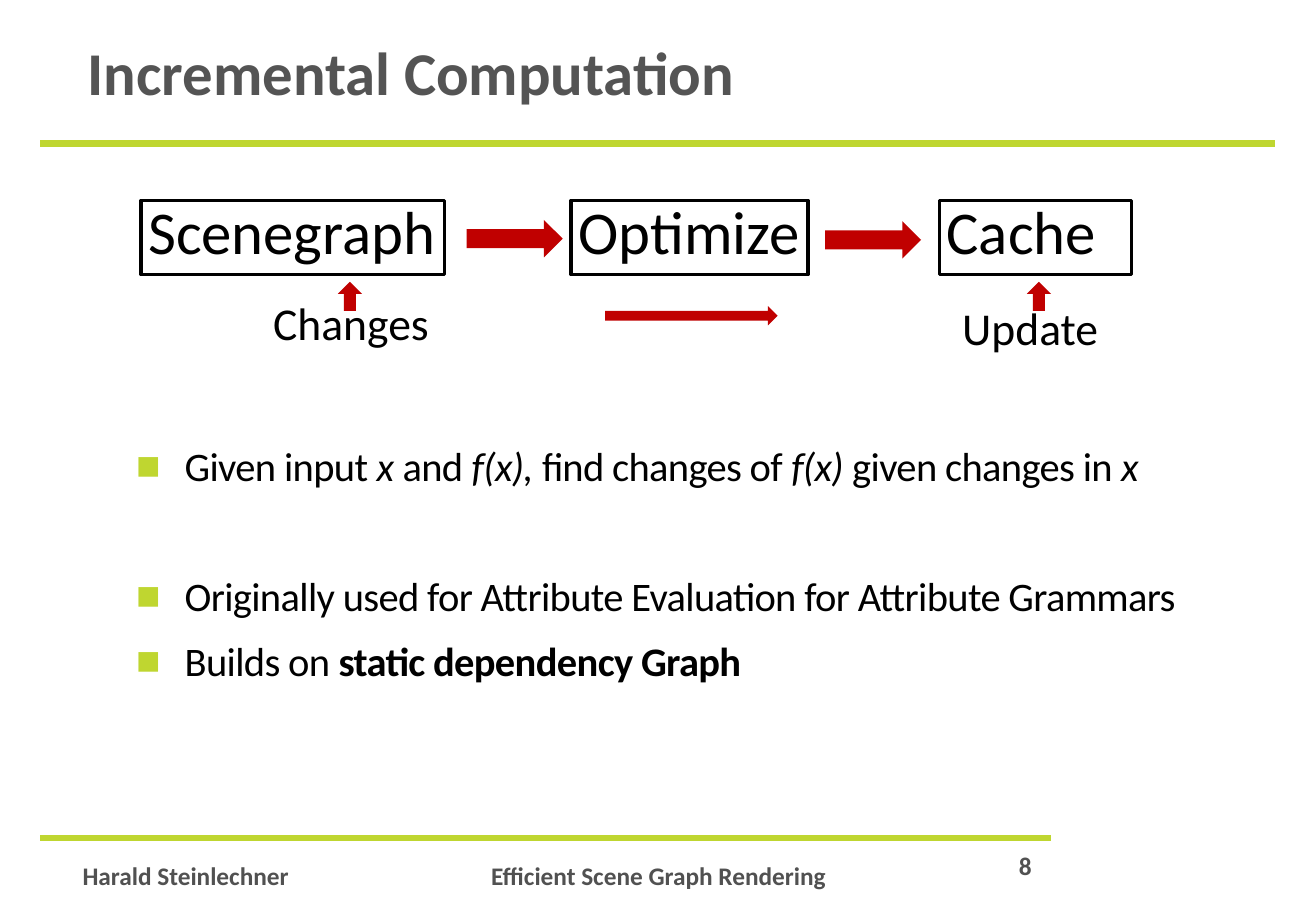
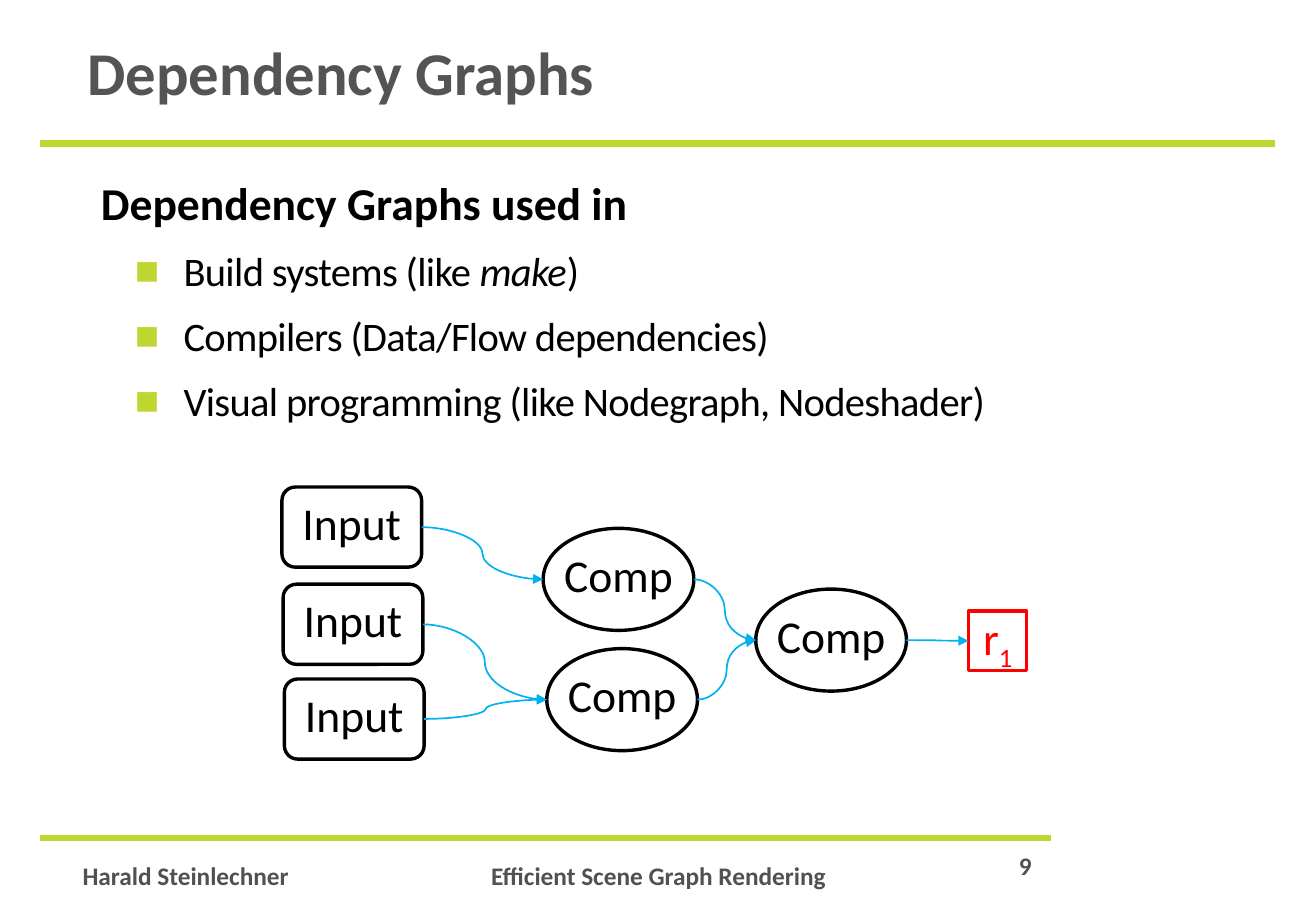
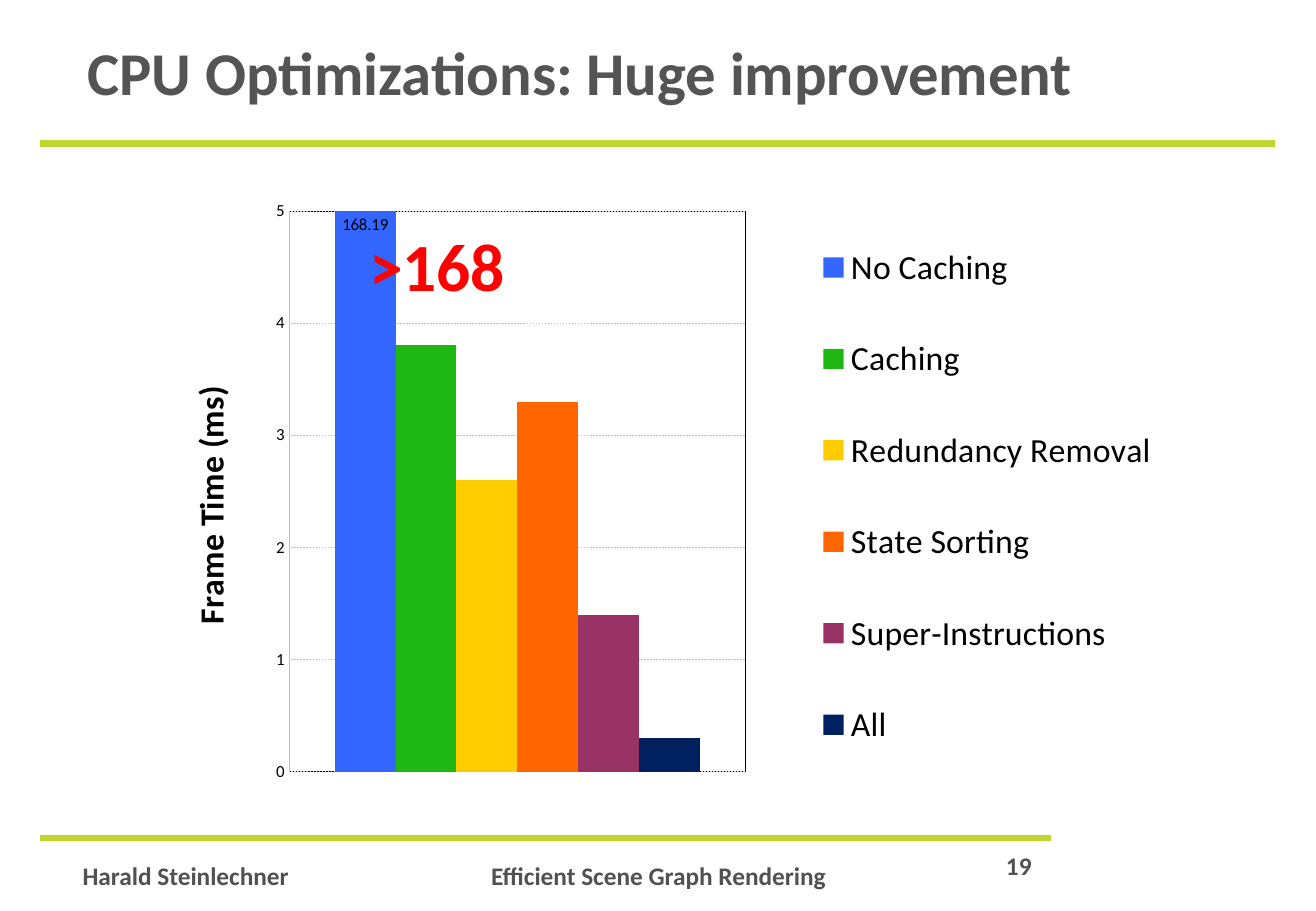
from dataclasses import dataclass

from lxml import etree
from pptx import Presentation
from pptx.chart.data import CategoryChartData
from pptx.dml.color import RGBColor
from pptx.enum.chart import XL_CHART_TYPE as ChartType
from pptx.enum.chart import XL_LABEL_POSITION as LabelPosition
from pptx.enum.chart import XL_LEGEND_POSITION as LegendPosition
from pptx.enum.chart import XL_TICK_MARK as TickMark
from pptx.enum.dml import MSO_LINE as Dash
from pptx.enum.shapes import MSO_CONNECTOR as Connector
from pptx.enum.shapes import MSO_SHAPE as Shape
from pptx.enum.text import MSO_ANCHOR as Anchor
from pptx.enum.text import MSO_AUTO_SIZE as AutoSize
from pptx.enum.text import PP_ALIGN as Align
from pptx.oxml import parse_xml
from pptx.oxml.ns import nsdecls, qn
from pptx.util import Inches, Pt


@dataclass(frozen=True)
class Theme:
    font: str = "Calibri"
    text: str = "000000"
    title: str = "545454"
    footer: str = "515151"
    accent: str = "BFD630"
    paper: str = "FFFFFF"
    arrow: str = "C00000"
    link: str = "00B0F0"
    result: str = "FF0000"
    grid: str = "BFBFBF"
    bars: tuple = ("3366FF", "1FB714", "FFCC00", "FF6600", "993366", "002060")
    title_size: int = 36
    box_size: int = 36
    label_size: int = 27
    list_size: int = 24
    footer_size: int = 15
    legend_size: int = 20
    axis_size: int = 10
    callout_size: int = 40
    tight: float = 0.8


THEME = Theme()
TITLE_AND_BODY, TITLE_ONLY = 1, 5


# Text
def color(value):
    return RGBColor.from_string(value)


def format_font(font, size, fill=THEME.text, bold=False, italic=False):
    font.name = THEME.font
    font.size = Pt(size)
    font.bold = bold
    font.italic = italic
    font.color.rgb = color(fill)


def add_span(para, text, size, spacing=None, baseline=None, **style):
    span = para.add_run()
    span.text = text
    format_font(span.font, size, **style)
    properties = span._r.get_or_add_rPr()
    if spacing is not None:
        properties.set("spc", str(round(spacing * 100)))
    if baseline is not None:
        properties.set("baseline", str(baseline * 1000))


def set_frame(frame, margins=(0.1, 0.05), anchor=Anchor.TOP, wrap=True):
    frame.auto_size = AutoSize.NONE
    frame.word_wrap = wrap
    frame.vertical_anchor = anchor
    frame.margin_left = frame.margin_right = Inches(margins[0])
    frame.margin_top = frame.margin_bottom = Inches(margins[1])


def write_line(frame, text, size, align=Align.LEFT, line_spacing=THEME.tight, **style):
    para = frame.paragraphs[0]
    para.alignment = align
    para.line_spacing = line_spacing
    add_span(para, text, size, **style)
    return para


def add_label(page, at, text, size, margins=(0.1, 0.05), wrap=False, **style):
    box = page.shapes.add_textbox(*map(Inches, at))
    set_frame(box.text_frame, margins, wrap=wrap)
    write_line(box.text_frame, text, size, **style)
    return box


# Shapes and lines
def add_line(page, start, end, line_color, width, kind=Connector.STRAIGHT, arrow=False):
    line = page.shapes.add_connector(kind, *map(Inches, (*start, *end)))
    line.line.color.rgb = color(line_color)
    line.line.width = Pt(width)
    if arrow:
        tail = etree.SubElement(line.line._get_or_add_ln(), qn("a:tailEnd"))
        tail.set("type", "triangle")
    etree.SubElement(line.element.spPr, qn("a:effectLst"))
    return line


def add_arrow(page, kind, at):
    arrow = page.shapes.add_shape(kind, *map(Inches, at))
    arrow.shadow.inherit = False
    arrow.fill.solid()
    arrow.fill.fore_color.rgb = color(THEME.arrow)
    arrow.line.fill.background()


def outline(box, line_color):
    box.line.color.rgb = color(line_color)
    box.line.width = Pt(2)


def add_stage(page, at, text):
    box = add_label(page, at, text, THEME.box_size, margins=(0.06, 0.06))
    box.fill.solid()
    box.fill.fore_color.rgb = color(THEME.paper)
    outline(box, THEME.text)


def add_node(page, kind, at, text, ink=THEME.text, subscript=None):
    node = page.shapes.add_shape(kind, *map(Inches, at))
    node.shadow.inherit = False
    node.fill.background()
    outline(node, ink)
    set_frame(node.text_frame, (0, 0), Anchor.MIDDLE, wrap=False)
    para = write_line(node.text_frame, text, THEME.label_size, Align.CENTER, fill=ink)
    if subscript:
        add_span(para, subscript, THEME.label_size, fill=ink, baseline=-25)


def link_nodes(page, source, target):
    """Curve from the right middle of one node to the left middle of the next."""
    left, top, width, height = source
    start = (left + width, top + height / 2)
    end = (target[0], target[1] + target[3] / 2)
    add_line(page, start, end, THEME.link, 1, Connector.CURVE, arrow=True)


# Lists: each item is a list of (text, style) spans
def add_list_item(para, spans, size=THEME.list_size, bullet=True, before=15.5):
    para.line_spacing = THEME.tight
    para.space_before = Pt(before)
    properties = para._p.get_or_add_pPr()
    left, hanging = (0.74, -0.4) if bullet else (0.06, 0)
    properties.set("marL", str(Inches(left)))
    properties.set("indent", str(Inches(hanging)))
    if bullet:
        para.level = 1
        tint = etree.SubElement(properties, qn("a:buClr"))
        etree.SubElement(tint, qn("a:srgbClr")).set("val", THEME.accent)
        etree.SubElement(properties, qn("a:buChar")).set("char", "■")
    else:
        etree.SubElement(properties, qn("a:buNone"))
    for text, style in spans:
        add_span(para, text, size, spacing=-0.4 if bullet else None, **style)


def fill_body(page, at, items):
    body = page.placeholders[1]
    body.left, body.top, body.width, body.height = map(Inches, at)
    frame = body.text_frame
    set_frame(frame)
    for index, (spans, options) in enumerate(items):
        para = frame.add_paragraph() if index else frame.paragraphs[0]
        if index == 0:
            options = {**options, "before": 0}
        add_list_item(para, spans, **options)


# Shared page furniture
def add_page(deck, layout, title, number):
    page = deck.slides.add_slide(deck.slide_layouts[layout])
    heading = page.shapes.title
    heading.left, heading.top, heading.width, heading.height = map(
        Inches, (0.68, 0.12, 9.48, 1.05))
    set_frame(heading.text_frame, (0.04, 0.04), Anchor.MIDDLE)
    write_line(heading.text_frame, title, THEME.title_size, fill=THEME.title, bold=True)
    add_label(page, (8.12, 6.92, 0.44, 0.35), str(number), THEME.footer_size,
              margins=(0.07, 0.04), wrap=True, align=Align.RIGHT,
              line_spacing=1.16, fill=THEME.footer, bold=True)
    return page


def furnish_master(deck, page):
    """Draw rules and footers once, then move them to the slide master."""
    footer = dict(size=THEME.footer_size, margins=(0, 0), wrap=True,
                  line_spacing=1.13, fill=THEME.footer, bold=True)
    parts = [
        add_line(page, (0.33, 1.18), (10.49, 1.18), THEME.accent, 4),
        add_line(page, (0.33, 6.9), (8.65, 6.9), THEME.accent, 4),
        add_label(page, (0.68, 7.05, 2.37, 0.37), "Harald Steinlechner", **footer),
        add_label(page, (3.19, 7.05, 4.46, 0.37), "Efficient Scene Graph Rendering",
                  align=Align.CENTER, **footer),
    ]
    for number, part in enumerate(parts, start=100):
        part.element.xpath(".//p:cNvPr")[0].set("id", str(number))
        deck.slide_master.shapes.element.append(part.element)


# Chart
def chart_layout(edge=True, inner=False, **fractions):
    layout = parse_xml(f"<c:layout {nsdecls('c')}><c:manualLayout/></c:layout>")
    settings = {"layoutTarget": "inner"} if inner else {}
    if edge:
        settings.update(xMode="edge", yMode="edge")
    settings.update(fractions)
    for name, value in settings.items():
        etree.SubElement(layout[0], qn(f"c:{name}")).set("val", str(value))
    return layout


def style_value_axis(axis):
    axis.minimum_scale, axis.maximum_scale, axis.major_unit = 0, 5, 1
    axis.major_tick_mark = axis.minor_tick_mark = TickMark.NONE
    axis.tick_labels.number_format = "0"
    axis.tick_labels.number_format_is_linked = False
    format_font(axis.tick_labels.font, THEME.axis_size)
    axis.format.line.color.rgb = color(THEME.grid)
    grid = axis.major_gridlines.format.line
    grid.color.rgb = color(THEME.grid)
    grid.width = Pt(0.25)
    grid.dash_style = Dash.DASH
    add_span(axis.axis_title.text_frame.paragraphs[0], "Frame Time (ms)",
             THEME.legend_size, bold=True)


def hide_leader_lines(labels):
    for flag in labels.xpath("./c:showLeaderLines"):
        flag.set("val", "0")
    labels.append(parse_xml(
        f'<c:extLst {nsdecls("c")}>'
        '<c:ext uri="{CE6537A1-D6FC-4f65-9D91-7224C49458BB}" '
        'xmlns:c15="http://schemas.microsoft.com/office/drawing/2012/chart">'
        '<c15:showLeaderLines val="0"/></c:ext></c:extLst>'))


def place_chart_parts(chart):
    root = chart.element
    plot_area = root.xpath(".//c:plotArea")[0]
    title = root.xpath(".//c:valAx/c:title")[0]
    for parent in (plot_area, title):
        for old in parent.xpath("./c:layout"):
            parent.remove(old)
    plot_area.insert(0, chart_layout(inner=True, x=0.121, y=0.043, w=0.424, h=0.918))
    plot_area.append(parse_xml(
        f'<c:spPr {nsdecls("c", "a")}><a:noFill/><a:ln w="3175"><a:solidFill>'
        f'<a:srgbClr val="{THEME.text}"/></a:solidFill></a:ln></c:spPr>'))
    root.xpath(".//c:legendPos")[0].addnext(chart_layout(x=0.61, y=0.02, w=0.32, h=0.98))
    title.xpath("./c:tx")[0].addnext(chart_layout(x=0.02, y=0.32))
    title.xpath(".//a:bodyPr")[0].set("rot", "-5400000")
    callout = root.xpath(".//c:dLbl")[0]
    callout.xpath("./c:idx")[0].addnext(chart_layout(edge=False, x=0.01, y=-0.2))
    hide_leader_lines(callout.getparent())


def add_frame_time_chart(page, at, bars):
    data = CategoryChartData()
    data.categories = ["1"]
    for name, value in bars:
        data.add_series(name, [value])
    chart = page.shapes.add_chart(
        ChartType.COLUMN_CLUSTERED, *map(Inches, at), data).chart
    format_font(chart.font, THEME.axis_size)
    chart.has_title = False
    chart.has_legend = True
    chart.legend.position = LegendPosition.RIGHT
    chart.legend.include_in_layout = False
    format_font(chart.legend.font, THEME.legend_size)
    chart.category_axis.visible = False
    style_value_axis(chart.value_axis)
    plot = chart.plots[0]
    plot.gap_width, plot.overlap, plot.vary_by_categories = 150, 0, False
    for series, fill in zip(plot.series, THEME.bars):
        series.format.fill.solid()
        series.format.fill.fore_color.rgb = color(fill)
    # Value label on the first bar, callout on the second
    labels = plot.series[0].data_labels
    labels.show_value = True
    labels.position = LabelPosition.INSIDE_END
    format_font(labels.font, THEME.axis_size)
    callout = plot.series[1].points[0].data_label
    add_span(callout.text_frame.paragraphs[0], ">168", THEME.callout_size,
             fill=THEME.result, bold=True)
    callout.position = LabelPosition.INSIDE_END
    place_chart_parts(chart)


# Slides
def build_incremental(deck):
    page = add_page(deck, TITLE_AND_BODY, "Incremental Computation", 8)
    furnish_master(deck, page)
    italic = {"italic": True}
    fill_body(page, (0.68, 3.66, 9.49, 2.6), [
        ([("Given input ", {}), ("x", italic), (" and ", {}), ("f(x), ", italic),
          ("find changes of ", {}), ("f(x) ", italic), ("given changes in ", {}),
          ("x", italic)], {}),
        ([("Originally used for Attribute Evaluation for Attribute Grammars", {})],
         {"before": 54}),
        ([("Builds on ", {}), ("static dependency Graph", {"bold": True})], {}),
    ])
    for left, width, text in ((1.16, 2.5, "Scenegraph"), (4.7, 1.95, "Optimize"),
                              (7.73, 1.58, "Cache")):
        add_stage(page, (left, 1.65, width, 0.61), text)
    for at in ((3.84, 1.81, 0.79, 0.31), (6.79, 1.82, 0.79, 0.31),
               (4.98, 2.52, 1.42, 0.16)):
        add_arrow(page, Shape.RIGHT_ARROW, at)
    for arrow_left, at, text in ((2.78, (2.15, 2.47, 1.49, 0.47), "Changes"),
                                 (8.45, (7.82, 2.51, 1.33, 0.47), "Update")):
        add_arrow(page, Shape.UP_ARROW, (arrow_left, 2.32, 0.2, 0.24))
        add_label(page, at, text, THEME.label_size)


def build_dependency(deck):
    page = add_page(deck, TITLE_AND_BODY, "Dependency Graphs", 9)
    fill_body(page, (0.67, 1.48, 9.49, 2.28), [
        ([("Dependency Graphs used in", {"bold": True})],
         {"size": THEME.label_size, "bullet": False}),
        ([("Build systems (like ", {}), ("make", {"italic": True}), (")", {})], {}),
        ([("Compilers (Data/Flow dependencies)", {})], {}),
        ([("Visual programming (like Nodegraph, Nodeshader)", {})], {}),
    ])
    inputs = [(left, top, 1.15, 0.66) for left, top in
              ((2.32, 4.01), (2.33, 4.81), (2.34, 5.59))]
    upper, lower, merge = [(left, top, 1.24, 0.84) for left, top in
                           ((4.47, 4.35), (4.5, 5.34), (6.22, 4.85))]
    result = (7.97, 5.03, 0.48, 0.49)
    for at in inputs:
        add_node(page, Shape.ROUNDED_RECTANGLE, at, "Input")
    for at in (upper, lower, merge):
        add_node(page, Shape.OVAL, at, "Comp")
    add_node(page, Shape.RECTANGLE, result, "r", THEME.result, subscript="1")
    for source, target in ((inputs[0], upper), (inputs[1], lower), (inputs[2], lower),
                           (upper, merge), (lower, merge), (merge, result)):
        link_nodes(page, source, target)


def build_improvement(deck):
    page = add_page(deck, TITLE_ONLY, "CPU Optimizations: Huge improvement", 19)
    add_frame_time_chart(page, (1.31, 1.52, 8.85, 5.03), [
        ("No Caching", 168.19),
        ("Caching", 3.8),
        ("Redundancy Removal", 2.6),
        ("State Sorting", 3.3),
        ("Super-Instructions", 1.4),
        ("All", 0.3),
    ])


def main():
    deck = Presentation()
    deck.slide_width, deck.slide_height = Inches(10.83), Inches(7.5)
    build_incremental(deck)
    build_dependency(deck)
    build_improvement(deck)
    deck.save("out.pptx")


if __name__ == "__main__":
    main()
